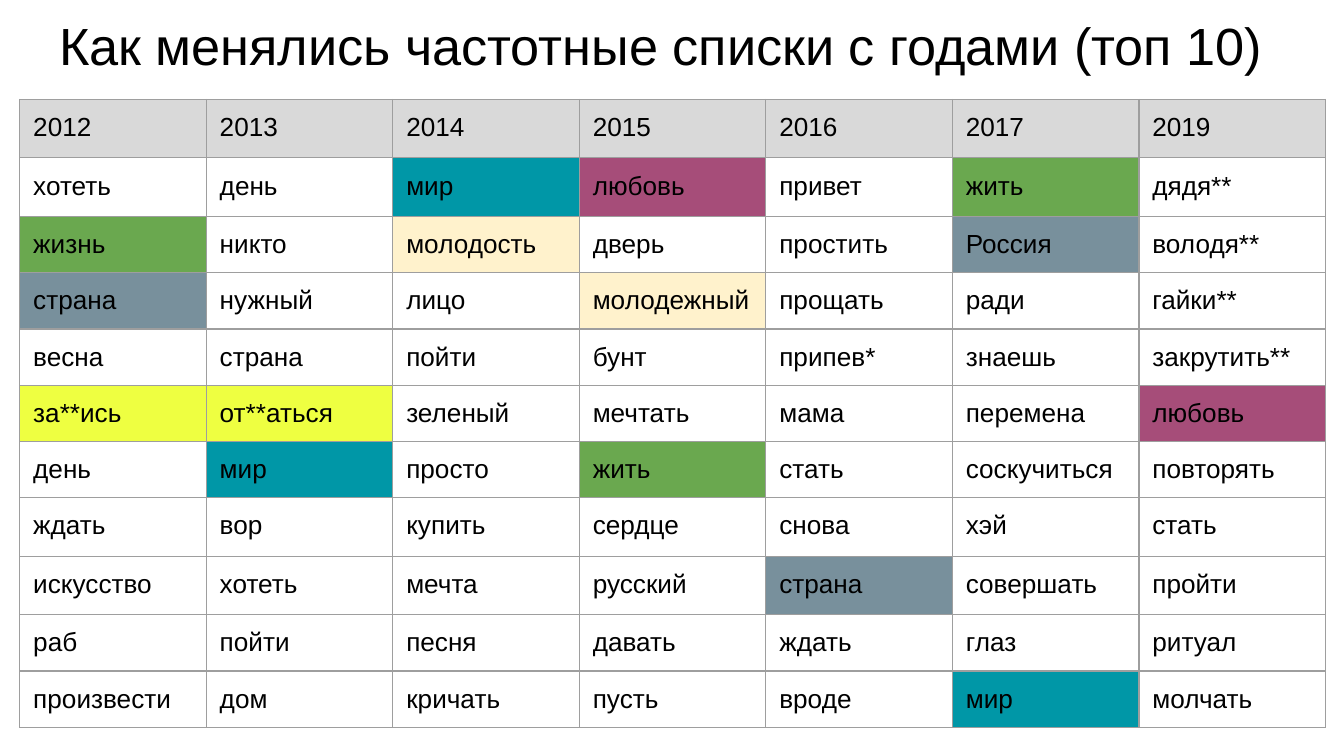
from lxml import etree
from pptx import Presentation
from pptx.dml.color import RGBColor
from pptx.enum.text import MSO_ANCHOR, PP_ALIGN
from pptx.oxml.ns import qn
from pptx.util import Pt

TOP = MSO_ANCHOR.TOP
LEFT = PP_ALIGN.LEFT
FONT = "Arial"
INSET = 7.2
COLORS = {
    "text": "000000", "head": "D9D9D9", "line": "9E9E9E",
    "peace": "0097A7", "love": "A64D79", "life": "6AA84F",
    "land": "78909C", "youth": "FFF2CC", "rude": "EEFF41",
}
THEMES = {
    "мир": "peace", "любовь": "love", "жить": "life", "жизнь": "life",
    "страна": "land", "Россия": "land", "молодость": "youth",
    "молодежный": "youth", "за**ись": "rude", "от**аться": "rude",
}
PLAIN = {("2013", "страна")}
LISTS = {
    "2012": "хотеть жизнь страна весна за**ись день ждать искусство раб произвести",
    "2013": "день никто нужный страна от**аться мир вор хотеть пойти дом",
    "2014": "мир молодость лицо пойти зеленый просто купить мечта песня кричать",
    "2015": "любовь дверь молодежный бунт мечтать жить сердце русский давать пусть",
    "2016": "привет простить прощать припев* мама стать снова страна ждать вроде",
    "2017": "жить Россия ради знаешь перемена соскучиться хэй совершать глаз мир",
    "2019": "дядя** володя** гайки** закрутить** любовь повторять стать пройти ритуал молчать",
}
TALL = {0, 1, 7, 8}
COL_W = 99.94
HIGH, LOW = 31.3, 30.1


def color(name):
    return RGBColor.from_string(COLORS[name])


def write(frame, text, size=14, tint="text"):
    par = frame.paragraphs[0]
    par.alignment = LEFT
    run = par.add_run()
    run.text = text
    run.font.size = Pt(size)
    run.font.name = FONT
    run.font.color.rgb = color(tint)


def pad(box):
    box.margin_left = box.margin_right = Pt(INSET)
    box.margin_top = box.margin_bottom = Pt(INSET)
    box.vertical_anchor = TOP


def border(cell):
    props = cell._tc.get_or_add_tcPr()
    for spot, side in enumerate(("lnL", "lnR", "lnT", "lnB")):
        line = etree.Element(qn("a:" + side), w=str(Pt(0.75)))
        fill = etree.SubElement(line, qn("a:solidFill"))
        etree.SubElement(fill, qn("a:srgbClr"), val=COLORS["line"])
        props.insert(spot, line)


def fill_cell(cell, text, theme):
    pad(cell)
    write(cell.text_frame, text)
    if theme:
        cell.fill.solid()
        cell.fill.fore_color.rgb = color(theme)
    else:
        cell.fill.background()
    border(cell)


def add_title(slide, text):
    title = slide.shapes.title
    title.left, title.top, title.width, title.height = (
        Pt(24.5), Pt(0), Pt(671), Pt(45.4))
    frame = title.text_frame
    frame.word_wrap = True
    pad(frame)
    write(frame, text, size=28)


def add_lists(slide):
    rows = [HIGH if i in TALL else LOW for i in range(11)]
    table = slide.shapes.add_table(
        len(rows), len(LISTS), Pt(10.6), Pt(53.3),
        Pt(COL_W * len(LISTS)), Pt(sum(rows))).table
    for row, high in zip(table.rows, rows):
        row.height = Pt(high)
    for c, (year, words) in enumerate(LISTS.items()):
        table.columns[c].width = Pt(COL_W)
        fill_cell(table.cell(0, c), year, "head")
        for r, word in enumerate(words.split(), 1):
            theme = None if (year, word) in PLAIN else THEMES.get(word)
            fill_cell(table.cell(r, c), word, theme)


def main():
    deck = Presentation()
    deck.slide_width, deck.slide_height = Pt(720), Pt(405)
    slide = deck.slides.add_slide(deck.slide_layouts[5])
    add_title(slide, "Как менялись частотные списки с годами (топ 10)")
    add_lists(slide)
    deck.save("out.pptx")


main()
